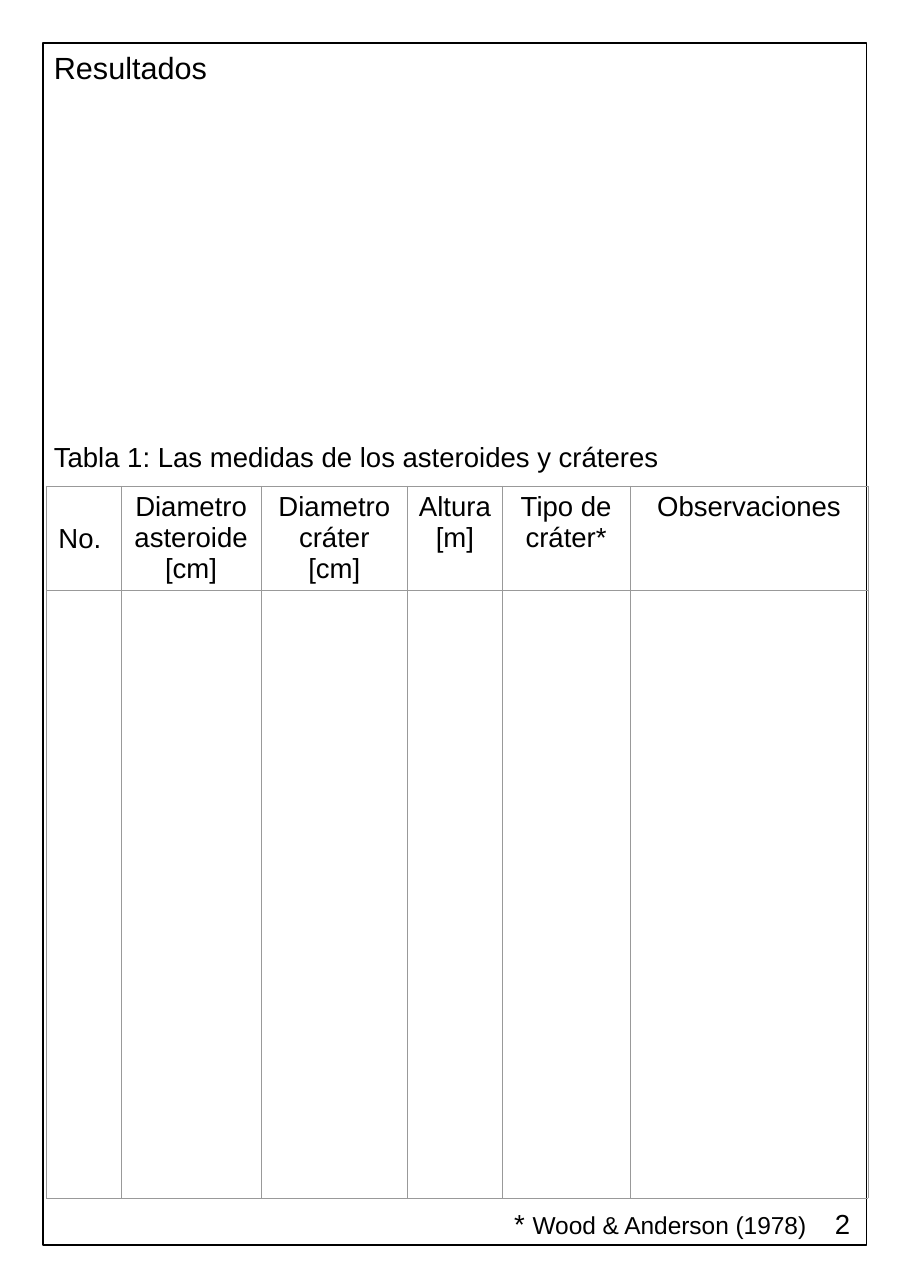
import dataclasses
import typing

import pptx
import pptx.dml.color
import pptx.enum.shapes
import pptx.enum.text
import pptx.oxml
import pptx.oxml.ns
import pptx.util

SCALE = 9144  # EMU in one px, 100 px to the inch


@dataclasses.dataclass(frozen=True)
class Theme:
    font: str = "Arial"
    ink: str = "000000"
    rule: str = "999999"
    hair: int = 762  # EMU
    title: int = 20
    body: int = 18
    note: int = 16


class Run(typing.NamedTuple):
    text: str
    size: int


class Label(typing.NamedTuple):
    left: int
    top: int
    width: int
    height: int
    runs: list[Run]
    wrap: bool = True


class Column(typing.NamedTuple):
    head: list[str]
    width: int
    drop: int = 5  # top margin of the heading


THEME = Theme()
ROWS = [95, 551]
COLUMNS = [
    Column(["No. "], 68, 34),
    Column(["Diametro asteroide [cm]"], 127),
    Column(["Diametro cráter", "[cm]"], 133),
    Column(["Altura", "[m]"], 86),
    Column(["Tipo de cráter*"], 116),
    Column(["Observaciones"], 216),
]
LABELS = [
    Label(457, 1091, 386, 63, [Run("* ", THEME.body),
                               Run("Wood & Anderson (1978)", THEME.note)]),
    Label(39, 394, 748, 66,
          [Run("Tabla 1: Las medidas de los asteroides y cráteres", THEME.body)]),
    Label(748, 1091, 34, 38, [Run("2", THEME.body)], False),
]


def px(count: int) -> pptx.util.Emu:
    return pptx.util.Emu(count * SCALE)


def style(run, size: int) -> None:
    run.font.name = THEME.font
    run.font.size = pptx.util.Pt(size)
    run.font.color.rgb = pptx.dml.color.RGBColor.from_string(THEME.ink)


def draw_frame(slide) -> None:
    box = slide.shapes.add_shape(pptx.enum.shapes.MSO_SHAPE.RECTANGLE,
                                 px(39), px(39), px(748), px(1091))
    box.shadow.inherit = False
    box.fill.background()
    box.line.color.rgb = pptx.dml.color.RGBColor.from_string(THEME.ink)
    box.line.width = pptx.util.Pt(0)
    frame = box.text_frame
    frame.text = "Resultados"
    frame.vertical_anchor = pptx.enum.text.MSO_ANCHOR.TOP
    frame.paragraphs[0].alignment = pptx.enum.text.PP_ALIGN.LEFT
    style(frame.paragraphs[0].runs[0], THEME.title)


def draw_label(slide, label: Label) -> None:
    box = slide.shapes.add_textbox(px(label.left), px(label.top),
                                   px(label.width), px(label.height))
    box.text_frame.word_wrap = label.wrap
    for part in label.runs:
        run = box.text_frame.paragraphs[0].add_run()
        run.text = part.text
        style(run, part.size)


def rule_cell(cell) -> None:
    cell.fill.background()
    props = cell._tc.get_or_add_tcPr()
    for spot, side in enumerate(("lnL", "lnR", "lnT", "lnB")):
        line = pptx.oxml.parse_xml(
            f'<a:{side} {pptx.oxml.ns.nsdecls("a")} w="{THEME.hair}"><a:solidFill>'
            f'<a:srgbClr val="{THEME.rule}"/></a:solidFill></a:{side}>')
        props.insert(spot, line)


def draw_table(slide) -> None:
    width = sum(column.width for column in COLUMNS)
    table = slide.shapes.add_table(len(ROWS), len(COLUMNS), px(42), px(441),
                                   px(width), px(sum(ROWS))).table
    table.first_row = False
    table.horz_banding = False
    for row, height in zip(table.rows, ROWS):
        row.height = px(height)
    for cell in table.iter_cells():
        rule_cell(cell)
    for index, column in enumerate(COLUMNS):
        table.columns[index].width = px(column.width)
        cell = table.cell(0, index)
        cell.margin_top = px(column.drop)
        cell.text_frame.text = "\n".join(column.head)
        for para in cell.text_frame.paragraphs:
            para.alignment = pptx.enum.text.PP_ALIGN.CENTER
            style(para.runs[0], THEME.body)


def main() -> None:
    deck = pptx.Presentation()
    deck.slide_width, deck.slide_height = px(827), px(1169)
    slide = deck.slides.add_slide(deck.slide_layouts[6])

    # Page border with its heading
    draw_frame(slide)

    # Table of measurements
    draw_table(slide)

    # Footnote, caption and page number
    for label in LABELS:
        draw_label(slide, label)

    deck.save("out.pptx")


if __name__ == "__main__":
    main()
